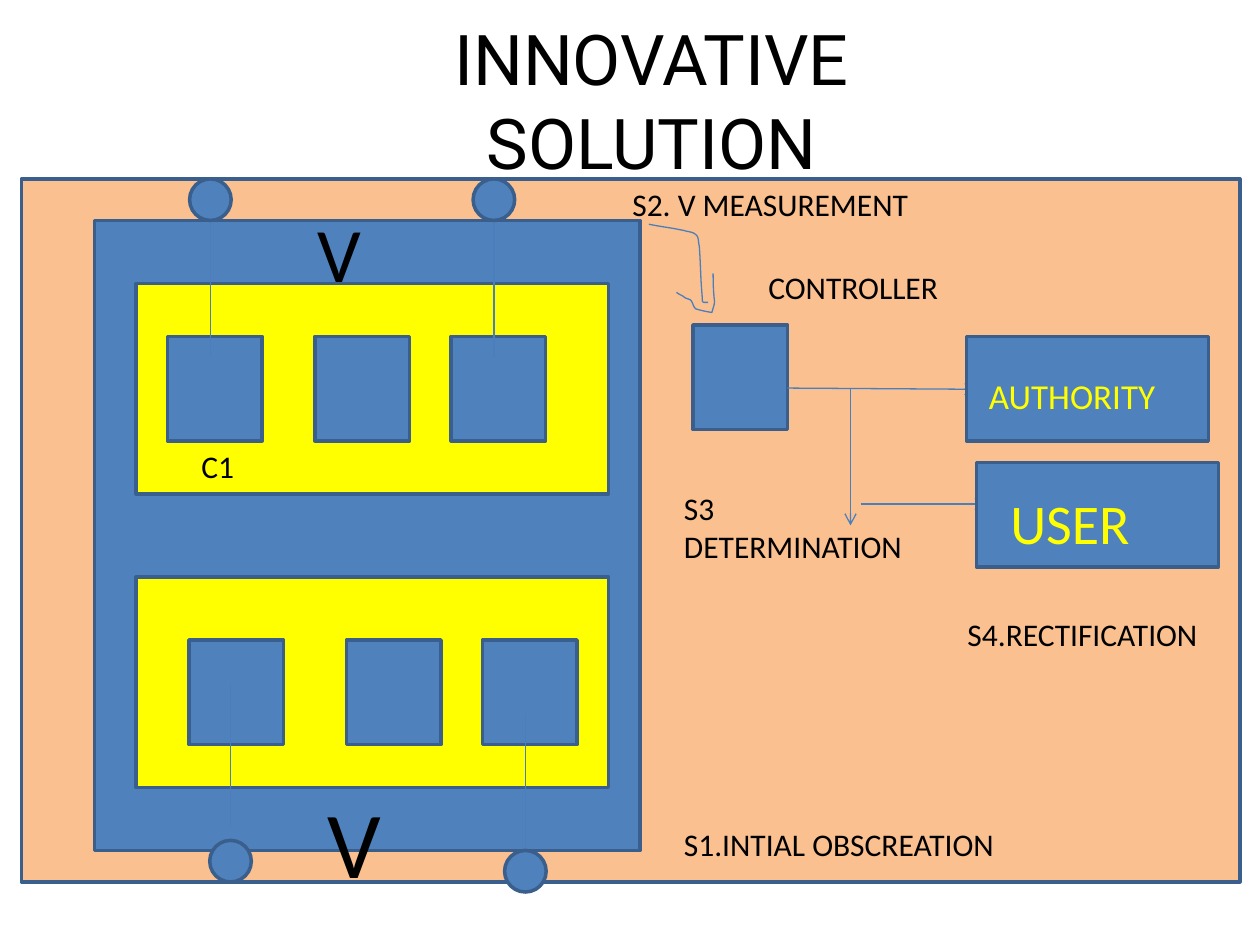
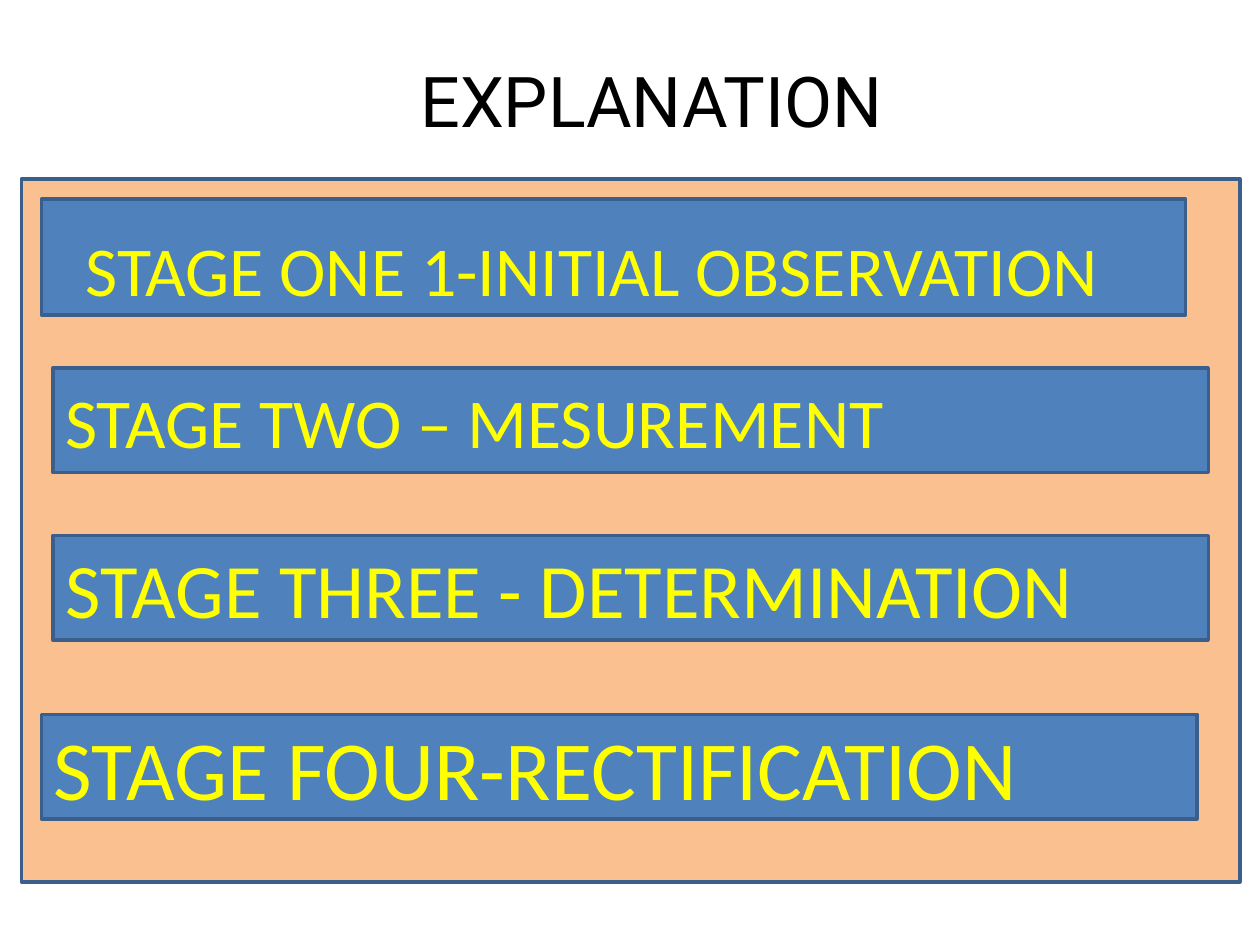
from pptx import Presentation
from pptx.dml.color import RGBColor
from pptx.enum.shapes import MSO_CONNECTOR as CONN, MSO_SHAPE as SHAPE
from pptx.enum.text import MSO_ANCHOR as ANCHOR, PP_ALIGN as ALIGN
from pptx.util import Inches, Pt
from lxml import etree

PEACH = RGBColor(0xFA, 0xC0, 0x90)
BLUE = RGBColor(0x4F, 0x81, 0xBD)
EDGE = RGBColor(0x3A, 0x5F, 0x8C)
WIRE = RGBColor(0x4B, 0x7E, 0xBC)
YELLOW = RGBColor(0xFF, 0xFF, 0x00)
BLACK = RGBColor(0, 0, 0)

NS = "{http://schemas.openxmlformats.org/drawingml/2006/main}"
PANEL = (0.17, 1.42, 9.67, 5.58)
TITLE = (2.42, 0.5, 5.5, 0.58)
CELL_W, CELL_H = 0.75, 0.83
TERMINAL = 0.33


def write(sp, text, size, color=BLACK, font="Calibri", align=ALIGN.LEFT, anchor=ANCHOR.TOP):
    tf = sp.text_frame
    tf.word_wrap = True
    tf.vertical_anchor = anchor
    for i, line in enumerate(text.split("\n")):
        p = tf.paragraphs[0] if i == 0 else tf.add_paragraph()
        p.alignment = align
        r = p.add_run()
        r.text = line
        fmt = {"name": font, "size": Pt(size)}
        for key, value in fmt.items():
            setattr(r.font, key, value)
        r.font.color.rgb = color


def add_label(slide, box, text, size=18, color=BLACK, **style):
    sp = slide.shapes.add_textbox(*map(Inches, box))
    write(sp, text, size, color, **style)


def add_box(slide, box, fill=BLUE, kind=SHAPE.RECTANGLE):
    sp = slide.shapes.add_shape(kind, *map(Inches, box))
    sp.shadow.inherit = False
    sp.fill.solid()
    sp.fill.fore_color.rgb = fill
    sp.line.color.rgb = EDGE
    sp.line.width = Pt(2)
    return sp


def style_wire(sp):
    sp.line.color.rgb = WIRE
    sp.line.width = Pt(0.75)


def add_wire(slide, x1, y1, x2, y2, arrow=False):
    sp = slide.shapes.add_connector(CONN.STRAIGHT, *map(Inches, (x1, y1, x2, y2)))
    style_wire(sp)
    if arrow:
        etree.SubElement(sp.line._get_or_add_ln(), NS + "tailEnd", type="arrow")
    etree.SubElement(sp._element.spPr, NS + "effectLst")


def bezier(p0, p1, p2, p3, steps=8):
    """Points along a cubic curve, without its start."""
    for i in range(1, steps + 1):
        t = i / steps
        weights = ((1 - t) ** 3, 3 * t * (1 - t) ** 2, 3 * t * t * (1 - t), t ** 3)
        yield tuple(sum(w * p[axis] for w, p in zip(weights, (p0, p1, p2, p3)))
                    for axis in (0, 1))


def add_stroke(slide, x, y, nodes):
    """Open curve; nodes are a start point, then three points per cubic segment."""
    points = [nodes[0]]
    for i in range(0, len(nodes) - 1, 3):
        points += bezier(*nodes[i:i + 4])
    points = [(Inches(x + px), Inches(y + py)) for px, py in points]
    builder = slide.shapes.build_freeform(*points[0])
    builder.add_line_segments(points[1:], close=False)
    sp = builder.convert_to_shape()
    sp.shadow.inherit = False
    sp.fill.background()
    style_wire(sp)


def add_page(prs, title):
    """New slide with the shared panel and title."""
    slide = prs.slides.add_slide(prs.slide_layouts[6])
    add_box(slide, PANEL, PEACH)
    add_label(slide, TITLE, title, 40, font="Roboto", align=ALIGN.CENTER, anchor=ANCHOR.MIDDLE)
    return slide


def add_pack(slide, x, y, cell_lefts, cell_top):
    add_box(slide, (x, y, 3.75, 1.67), YELLOW)
    for left in cell_lefts:
        add_box(slide, (x + left, y + cell_top, CELL_W, CELL_H))


def add_battery(slide, x, y):
    add_box(slide, (x, y, 4.33, 5))
    add_pack(slide, x + 0.33, y + 0.5, (0.25, 1.42, 2.5), 0.42)
    add_pack(slide, x + 0.33, y + 2.83, (0.42, 1.67, 2.75), 0.5)

    # centre x, terminal top, lead top
    for cx, top, lead in ((0.92, -0.33, -0.08), (3.17, -0.33, -0.08),
                          (1.08, 4.92, 3.67), (3.42, 5, 3.92)):
        add_wire(slide, x + cx, y + lead, x + cx, y + lead + 1.16)
        add_box(slide, (x + cx - TERMINAL / 2, y + top, TERMINAL, TERMINAL), kind=SHAPE.OVAL)

    add_label(slide, (x + 1.67, y - 0.17, 1, 0.84), "V", 44)
    add_label(slide, (x + 1.75, y + 4.42, 1, 1.01), "V", 54)
    add_label(slide, (x + 0.75, y + 1.75, 0.58, 0.4), "C1")


def add_control(slide, x, y):
    add_box(slide, (x + 0.5, y + 1.16, CELL_W, CELL_H))
    for x1, y1, x2, y2 in ((1.25, 1.66, 2.75, 1.67), (1.75, 1.66, 1.75, 2.75),
                           (1.83, 2.58, 2.83, 2.58)):
        add_wire(slide, x + x1, y + y1, x + x2, y + y2, arrow=True)
    for left, top in ((2.67, 1.25), (2.75, 2.25)):
        add_box(slide, (x + left, y + top, 1.92, 0.83))

    stem = ((0.15, 0.36), (0.25, 0.38), (0.34, 0.39), (0.43, 0.41),
            (0.46, 0.42), (0.5, 0.42), (0.52, 0.44), (0.55, 0.46), (0.54, 0.5), (0.55, 0.53),
            (0.56, 0.65), (0.56, 0.77), (0.57, 0.89), (0.58, 0.99), (0.56, 0.98), (0.62, 0.98))
    head = ((0.37, 0.9), (0.38, 0.91), (0.4, 0.92), (0.42, 0.93),
            (0.44, 0.95), (0.46, 0.95), (0.48, 0.96), (0.5, 0.98), (0.5, 1.01), (0.52, 1.03),
            (0.54, 1.04), (0.64, 1.06), (0.65, 1.06), (0.69, 0.93), (0.66, 1.03), (0.66, 0.75))
    for nodes in (stem, head):
        add_stroke(slide, x, y, nodes)

    for left, top, w, h, text, *style in (
            (1, 0.66, 1.58, 0.4, "CONTROLLER"),
            (2.75, 1.5, 1.58, 0.44, "AUTHORITY", 20, YELLOW),
            (2.92, 2.41, 1.5, 0.64, "USER", 32, YELLOW),
            (0.33, 2.41, 2.08, 0.71, "S3\nDETERMINATION"),
            (2.58, 3.41, 2.42, 0.4, "S4.RECTIFICATION"),
            (-0.08, 0, 2.75, 0.4, "S2. V MEASUREMENT"),
            (0.33, 5.08, 2.67, 0.42, "S1.INTIAL OBSCREATION")):
        add_label(slide, (x + left, y + top, w, h), text, *style)


def add_stages(slide, x, y):
    add_box(slide, (x + 0.16, y + 0.16, 9.08, 0.92))
    add_label(slide, (x + 0.41, y + 0.33, 8.58, 0.77),
              "STAGE ONE 1-INITIAL OBSERVATION", 40, YELLOW)
    for left, top, text, size in ((0.25, 1.5, "STAGE TWO – MESUREMENT", 40),
                                  (0.25, 2.83, "STAGE THREE - DETERMINATION", 44),
                                  (0.16, 4.25, "STAGE FOUR-RECTIFICATION", 48)):
        sp = add_box(slide, (x + left, y + top, 9.17, 0.83))
        write(sp, text, size, YELLOW, anchor=ANCHOR.MIDDLE)


def main():
    prs = Presentation()
    prs.slide_width, prs.slide_height = Inches(10), Inches(7.5)

    solution = add_page(prs, "INNOVATIVE SOLUTION")
    add_battery(solution, 0.75, 1.75)
    add_control(solution, 5, PANEL[1])

    explanation = add_page(prs, "EXPLANATION")
    add_stages(explanation, PANEL[0], PANEL[1])

    prs.save("out.pptx")


if __name__ == "__main__":
    main()
